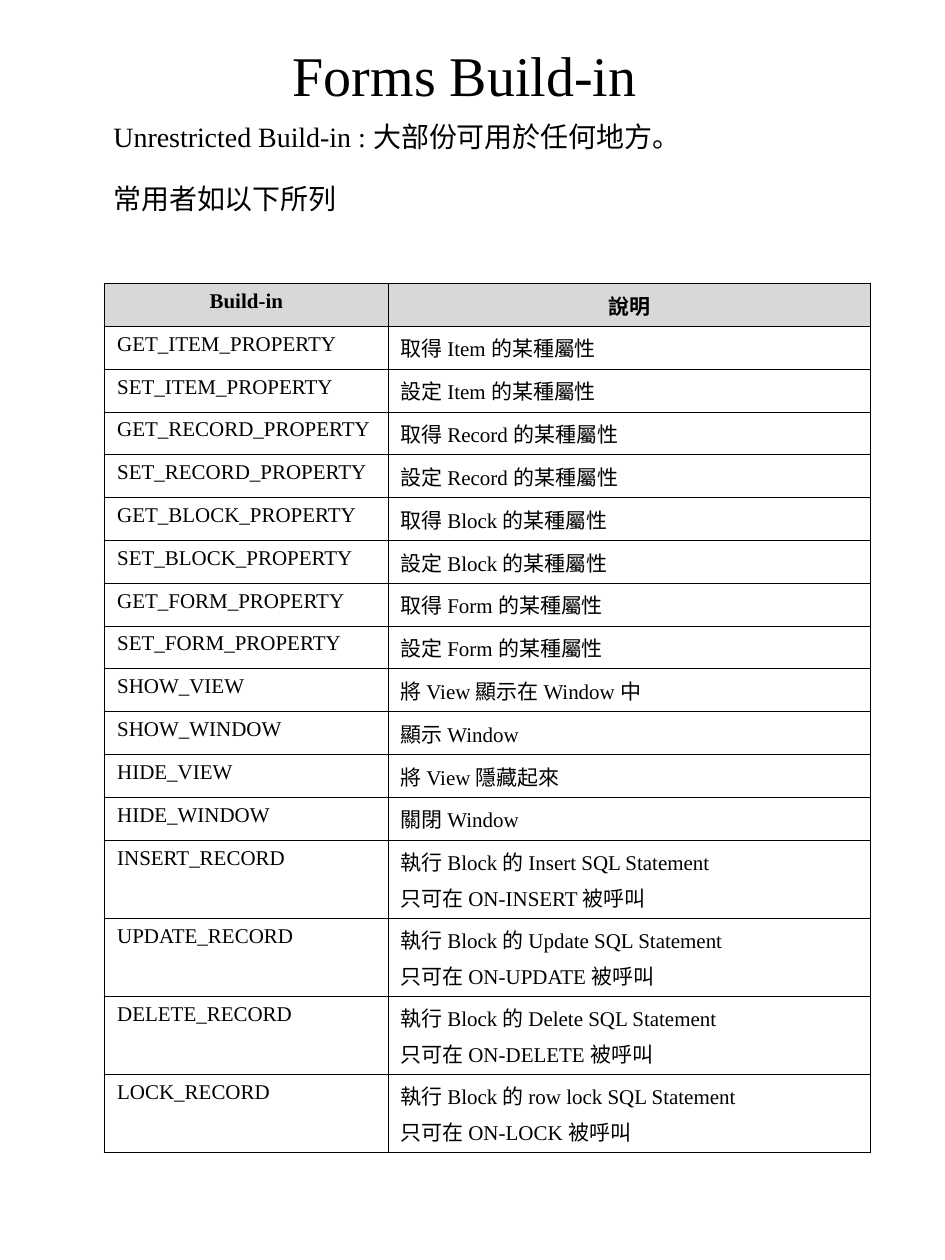
from dataclasses import dataclass

from lxml import etree
from pptx import Presentation, util as u
from pptx.dml import color
from pptx.enum import text as t
from pptx.oxml import ns

HUES = {"ink": "000000", "head": "B2B2B2"}
SERIF, CJK = "Times New Roman", "Noto Sans CJK TC"
THIN, THICK = 0.45, 1.08
LEFT, CENTER = t.PP_ALIGN.LEFT, t.PP_ALIGN.CENTER


@dataclass
class Entry:
    name: str
    notes: list[str]
    head: bool = False


def rgb(key: str) -> color.RGBColor:
    return color.RGBColor.from_string(HUES[key])


def add_run(para, words: str, size: float, bold: bool = False, face: str = SERIF) -> None:
    run = para.add_run()
    run.text = words
    font = run.font
    font.size = u.Pt(size)
    font.bold = bold
    font.color.rgb = rgb("ink")
    font.name = face
    etree.SubElement(font._element, ns.qn("a:ea"), typeface=CJK)


def add_line(cell, side: str, width: float) -> None:
    line = etree.SubElement(cell._tc.get_or_add_tcPr(), ns.qn(f"a:ln{side}"), w=str(u.Pt(width)))
    fill = etree.SubElement(line, ns.qn("a:solidFill"))
    etree.SubElement(fill, ns.qn("a:srgbClr"), val=HUES["ink"])


def fill_cell(cell, lines: list[str], head: bool, edges: dict[str, bool]) -> None:
    for side, outer in edges.items():
        add_line(cell, side, THICK if outer else THIN)
    if head:
        cell.fill.solid()
        cell.fill.fore_color.rgb = rgb("head")
        tone = cell._tc.tcPr.find(".//" + ns.qn("a:solidFill") + "/" + ns.qn("a:srgbClr") + f"[@val='{HUES['head']}']")
        etree.SubElement(tone, ns.qn("a:alpha"), val="50000")
    else:
        cell.fill.background()
    cell.vertical_anchor = t.MSO_ANCHOR.TOP
    frame = cell.text_frame
    for i, words in enumerate(lines):
        para = frame.add_paragraph() if i else frame.paragraphs[0]
        para.alignment = CENTER if head else LEFT
        if i:
            para.space_before = u.Pt(3)
        add_run(para, words, 12, head)


def add_grid(slide, rows: list[Entry]) -> None:
    highs = [0.34 if len(row.notes) == 1 else 0.62 for row in rows]
    grid = slide.shapes.add_table(
        len(rows), 2, u.Inches(0.83), u.Inches(2.25), u.Inches(6.08), u.Inches(sum(highs))
    ).table
    grid.first_row = grid.horz_banding = False
    for col, width in zip(grid.columns, (2.25, 3.83)):
        col.width = u.Inches(width)
    for r, (row, high) in enumerate(zip(rows, highs)):
        grid.rows[r].height = u.Inches(high)
        for c, lines in enumerate(([row.name], row.notes)):
            edges = {"L": c == 0, "R": c == 1, "T": r == 0, "B": r == len(rows) - 1}
            fill_cell(grid.cell(r, c), lines, row.head, edges)


def place(shape, x: float, y: float, w: float, h: float) -> None:
    shape.left, shape.top = u.Inches(x), u.Inches(y)
    shape.width, shape.height = u.Inches(w), u.Inches(h)


def add_title(slide) -> None:
    title = slide.shapes.title
    place(title, 0.5, 0.25, 6.38, 0.67)
    frame = title.text_frame
    frame.vertical_anchor = t.MSO_ANCHOR.MIDDLE
    para = frame.paragraphs[0]
    para.alignment = CENTER
    add_run(para, "Forms Build-in", 32)


def add_intro(slide) -> None:
    body = slide.placeholders[1]
    place(body, 0.8, 0.9, 4.75, 0.9)
    frame = body.text_frame
    frame.word_wrap = False
    frame.auto_size = t.MSO_AUTO_SIZE.SHAPE_TO_FIT_TEXT
    frame.vertical_anchor = t.MSO_ANCHOR.TOP
    lines = [
        [("Unrestricted Build-in : 大部份可用於任何地方", SERIF), ("。", CJK)],
        [("常用者如以下所列", SERIF)],
    ]
    for i, parts in enumerate(lines):
        para = frame.add_paragraph() if i else frame.paragraphs[0]
        props = para._p.get_or_add_pPr()
        props.set("marL", "0")
        props.set("indent", "0")
        etree.SubElement(props, ns.qn("a:buNone"))
        para.alignment = LEFT
        para.space_before = u.Pt(16 if i else 0)
        for words, face in parts:
            add_run(para, words, 16, face=face)


def list_rows() -> list[Entry]:
    rows = [Entry("Build-in", ["說明"], True)]
    for kind in ("Item", "Record", "Block", "Form"):
        for verb, word in (("GET", "取得"), ("SET", "設定")):
            rows.append(Entry(f"{verb}_{kind.upper()}_PROPERTY", [f"{word} {kind} 的某種屬性"]))
    rows += [
        Entry("SHOW_VIEW", ["將 View 顯示在 Window 中"]),
        Entry("SHOW_WINDOW", ["顯示 Window"]),
        Entry("HIDE_VIEW", ["將 View 隱藏起來"]),
        Entry("HIDE_WINDOW", ["關閉 Window"]),
    ]
    for verb, word in (("INSERT", "Insert"), ("UPDATE", "Update"), ("DELETE", "Delete"), ("LOCK", "row lock")):
        notes = [f"執行 Block 的 {word} SQL Statement", f"只可在 ON-{verb} 被呼叫"]
        rows.append(Entry(f"{verb}_RECORD", notes))
    return rows


def main() -> None:
    deck = Presentation()
    deck.slide_width, deck.slide_height = u.Inches(7.5), u.Inches(10)
    slide = deck.slides.add_slide(deck.slide_layouts[1])
    add_title(slide)
    add_grid(slide, list_rows())
    add_intro(slide)
    deck.save("out.pptx")


if __name__ == "__main__":
    main()
